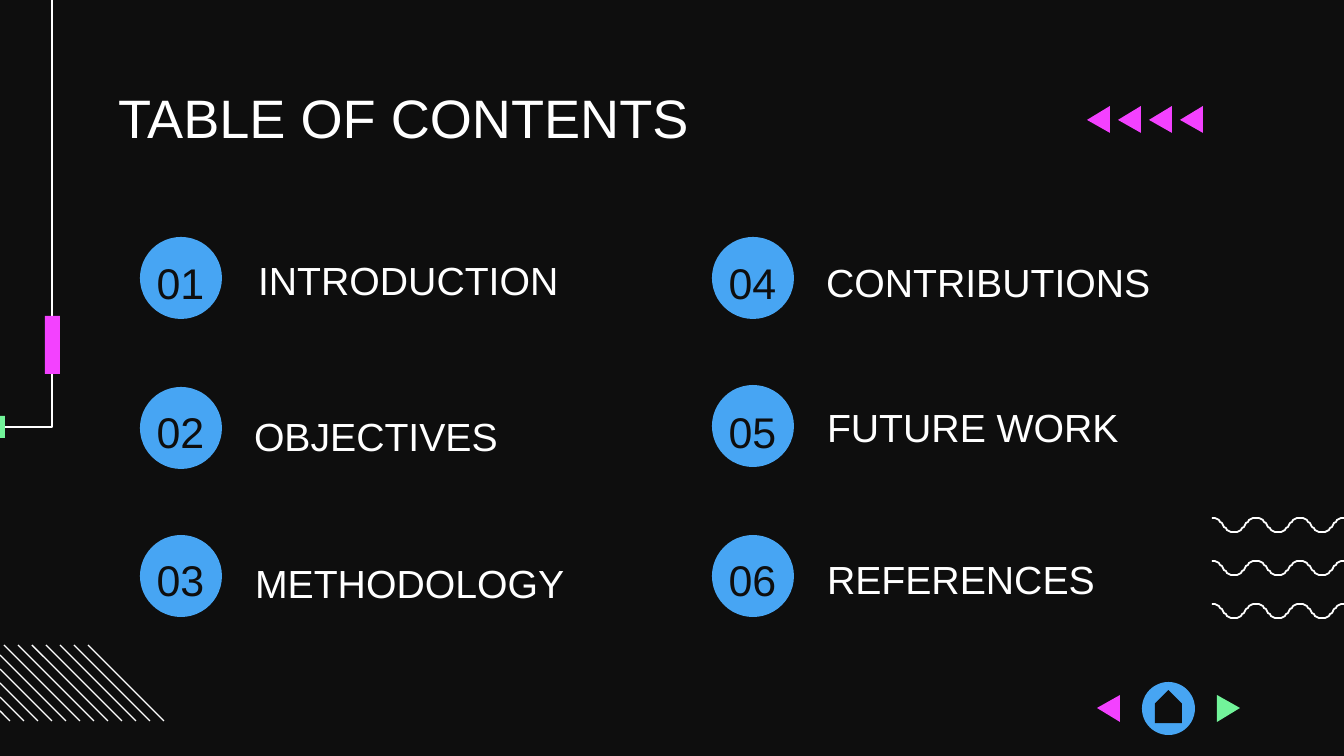
"""Build a dark table of contents slide with numbered circles and neon accents."""
from copy import deepcopy
from dataclasses import dataclass

from lxml.etree import SubElement
from pptx import Presentation
from pptx.dml.color import RGBColor
from pptx.enum.shapes import MSO_CONNECTOR, MSO_SHAPE
from pptx.enum.text import MSO_ANCHOR, MSO_AUTO_SIZE, PP_ALIGN
from pptx.oxml.ns import qn
from pptx.util import Emu, Pt

SCALE = 6804
BLACK = RGBColor(0x0E, 0x0E, 0x0E)
WHITE = RGBColor(0xFF, 0xFF, 0xFF)
BLUE = RGBColor(0x47, 0xA5, 0xF3)
PINK = RGBColor(0xF3, 0x41, 0xFF)
GREEN = RGBColor(0x72, 0xF4, 0x9A)


@dataclass(frozen=True)
class Box:
    left: int
    top: int
    width: int
    height: int


@dataclass(frozen=True)
class TextStyle:
    size: int
    color: RGBColor
    top_inset: int
    alignment: PP_ALIGN = PP_ALIGN.LEFT
    line_spacing: float = 1.0
    space_after: int = 0


@dataclass(frozen=True)
class Entry:
    label: str
    circle_left: int
    circle_top: int
    number_top: int
    label_left: int
    label_top: int


TITLE_STYLE = TextStyle(29, WHITE, 5)
NUMBER_STYLE = TextStyle(23, BLACK, 31, PP_ALIGN.CENTER)
LABEL_STYLE = TextStyle(21, WHITE, 4, line_spacing=1.15, space_after=12)

ENTRIES = [
    Entry("INTRODUCTION", 140, 237, 226, 245, 245),
    Entry("OBJECTIVES", 140, 387, 375, 241, 401),
    Entry("METHODOLOGY", 140, 535, 523, 242, 548),
    Entry("CONTRIBUTIONS", 712, 237, 226, 813, 247),
    Entry("FUTURE WORK", 712, 385, 375, 814, 392),
    Entry("REFERENCES", 712, 535, 523, 814, 544),
]


def px(length: int) -> Emu:
    return Emu(length * SCALE)


def place(shape, box: Box) -> None:
    shape.left, shape.top = px(box.left), px(box.top)
    shape.width, shape.height = px(box.width), px(box.height)


def write(shape, text: str, style: TextStyle) -> None:
    frame = shape.text_frame
    frame.text = text
    frame.word_wrap = True
    frame.auto_size = MSO_AUTO_SIZE.NONE
    frame.vertical_anchor = MSO_ANCHOR.TOP
    frame.margin_left = frame.margin_right = px(13)
    frame.margin_top, frame.margin_bottom = px(style.top_inset), 0
    paragraph = frame.paragraphs[0]
    paragraph.alignment = style.alignment
    paragraph.line_spacing = style.line_spacing
    paragraph.space_before = Pt(0)
    paragraph.space_after = Pt(style.space_after)
    font = paragraph.runs[0].font
    font.name, font.size, font.bold = "Arial", Pt(style.size), False
    font.color.rgb = style.color


def paint(shape, color: RGBColor) -> None:
    shape.shadow.inherit = False
    shape.fill.solid()
    shape.fill.fore_color.rgb = color
    shape.line.fill.background()


def add_preset(slide, kind: MSO_SHAPE, box: Box, color: RGBColor):
    shape = slide.shapes.add_shape(kind, 0, 0, 0, 0)
    place(shape, box)
    paint(shape, color)
    return shape


def add_outline(slide, points: list[tuple[float, float]], closed: bool):
    builder = slide.shapes.build_freeform(*points[0], scale=SCALE)
    builder.add_line_segments(points[1:], close=closed)
    return builder.convert_to_shape()


def add_stroke(slide, points: list[tuple[float, float]], width: float) -> None:
    shape = add_outline(slide, points, closed=False)
    shape.shadow.inherit = False
    shape.fill.background()
    shape.line.color.rgb = WHITE
    shape.line.width = Pt(width)


def add_triangle(slide, left: int, top: int, color: RGBColor, points_left: bool = True) -> None:
    tip, base = (left, left + 23) if points_left else (left + 23, left)
    points = [(base, top), (tip, top + 13.5), (base, top + 27)]
    paint(add_outline(slide, points, closed=True), color)


def add_wave(slide, top: int, left: int = 1212, half: int = 22, count: int = 6, steps: int = 12) -> None:
    points = [(left, top)]
    for index in range(count):
        for step in range(1, steps + 1):
            t = step / steps
            across = 1.5 * t * (1 - t) + t**3
            drop = 3 * t**2 - 2 * t**3
            height = drop if index % 2 == 0 else 1 - drop
            points.append((left + half * (index + across), top + 14 * height))
    add_stroke(slide, points, 0.95)


def add_diagonal(slide, start: int) -> None:
    left = max(start, 0)
    line = slide.shapes.add_connector(
        MSO_CONNECTOR.STRAIGHT, px(left), px(645 + left - start), px(start + 76), px(721)
    )
    line.line.color.rgb = WHITE
    line.line.width = Pt(0.75)
    SubElement(line.element.spPr, qn("a:effectLst"))


def add_slide(presentation):
    layout = presentation.slide_layouts[2]
    body = layout.placeholders[1].element
    for index in range(1, len(ENTRIES)):
        extra = deepcopy(body)
        extra.xpath(".//p:cNvPr")[0].set("id", str(100 + index))
        extra.xpath(".//p:ph")[0].set("idx", str(20 + index))
        body.getparent().append(extra)
    return presentation.slides.add_slide(layout)


def add_entry(slide, placeholder, number: int, entry: Entry) -> None:
    add_preset(slide, MSO_SHAPE.OVAL, Box(entry.circle_left, entry.circle_top, 82, 82), BLUE)
    number_box = slide.shapes.add_textbox(0, 0, 0, 0)
    place(number_box, Box(entry.circle_left - 20, entry.number_top, 121, 82))
    write(number_box, f"{number:02d}", NUMBER_STYLE)
    place(placeholder, Box(entry.label_left, entry.label_top, 425, 52))
    write(placeholder, entry.label, LABEL_STYLE)


def add_decorations(slide) -> None:
    for top in (518, 561, 604):
        add_wave(slide, top)
    for start in range(-66, 89, 14):
        add_diagonal(slide, start)
    add_stroke(slide, [(0, 427), (52, 427), (52, 0)], 0.75)
    add_preset(slide, MSO_SHAPE.RECTANGLE, Box(0, 416, 5, 22), GREEN)
    add_preset(slide, MSO_SHAPE.RECTANGLE, Box(45, 316, 15, 58), PINK)
    for index in range(4):
        add_triangle(slide, 1087 + 31 * index, 106, PINK)


def add_navigation(slide) -> None:
    add_preset(slide, MSO_SHAPE.OVAL, Box(1142, 682, 53, 53), BLUE)
    home = add_preset(slide, MSO_SHAPE.PENTAGON, Box(1152, 693, 33, 27), BLACK)
    home.rotation = 270
    add_triangle(slide, 1097, 695, PINK)
    add_triangle(slide, 1217, 695, GREEN, points_left=False)


def main() -> None:
    presentation = Presentation()
    presentation.slide_width, presentation.slide_height = px(1344), px(756)
    slide = add_slide(presentation)
    slide.background.fill.solid()
    slide.background.fill.fore_color.rgb = BLACK
    add_decorations(slide)
    title, *labels = slide.placeholders
    place(title, Box(105, 79, 1134, 66))
    write(title, "TABLE OF CONTENTS", TITLE_STYLE)
    for number, (placeholder, entry) in enumerate(zip(labels, ENTRIES), start=1):
        add_entry(slide, placeholder, number, entry)
    add_navigation(slide)
    presentation.save("out.pptx")


if __name__ == "__main__":
    main()
